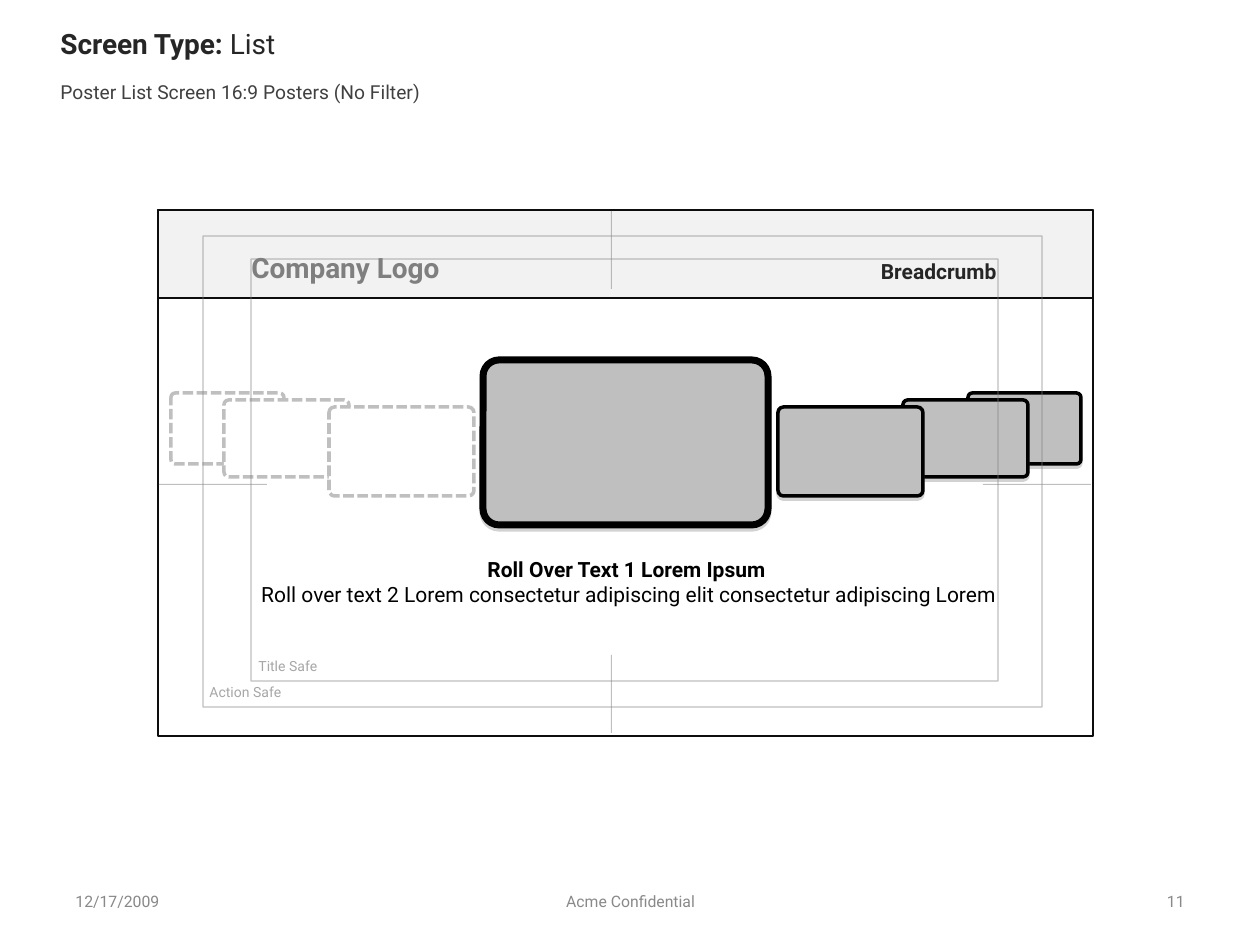
from lxml.etree import SubElement
from pptx import Presentation
from pptx.dml.color import RGBColor
from pptx.enum.dml import MSO_LINE
from pptx.enum.shapes import MSO_SHAPE as Shape
from pptx.enum.text import MSO_ANCHOR as Anchor, PP_ALIGN as Align
from pptx.oxml.ns import qn
from pptx.util import Pt

PX = 914400 / 126
FONT = "Roboto"
BLACK = RGBColor(0x00, 0x00, 0x00)
INK = RGBColor(0x0D, 0x0D, 0x0D)
DARK = RGBColor(0x26, 0x26, 0x26)
SUBTITLE = RGBColor(0x40, 0x40, 0x40)
LOGO = RGBColor(0x7F, 0x7F, 0x7F)
GUIDE = RGBColor(0x80, 0x80, 0x80)
FOOTER = RGBColor(0x89, 0x89, 0x89)
LABEL = RGBColor(0xA6, 0xA6, 0xA6)
POSTER = RGBColor(0xBF, 0xBF, 0xBF)
HEADER = RGBColor(0xF2, 0xF2, 0xF2)
WHITE = RGBColor(0xFF, 0xFF, 0xFF)

FRAME = (158, 210, 935, 526)
MIRROR_SUM = 1252
SIDE_POSTERS = [(171, 393, 113, 71), (224, 400, 125, 77), (329, 407, 145, 89)]
SAFE_AREAS = [(203, 236, 839, 471), (251, 259, 747, 422)]
CENTER_TICKS = [(159, 484, 108, 1), (983, 484, 108, 1),
                (611, 211, 1, 78), (611, 655, 1, 78)]


def emu(*lengths):
    """Turn px lengths into EMU."""
    return [round(length * PX) for length in lengths]


def set_alpha(fill, percent):
    """Make a solid fill partly transparent."""
    color = fill._xPr.find(qn("a:solidFill"))[0]
    SubElement(color, qn("a:alpha"), val=str(percent * 1000))


def add_drop_shadow(shape):
    """Give a shape a hard grey shadow just below it."""
    effects = shape._element.spPr.find(qn("a:effectLst"))
    shadow = SubElement(effects, qn("a:outerShdw"), blurRad="0",
                        dist=str(Pt(1.8)), dir="5400000", rotWithShape="0")
    color = SubElement(shadow, qn("a:srgbClr"), val=str(GUIDE))
    SubElement(color, qn("a:alpha"), val="35000")


def add_box(shapes, place, fill=None, line=None, width=1, kind=Shape.RECTANGLE):
    """Add a preset shape with an optional fill and outline."""
    box = shapes.add_shape(kind, *emu(*place))
    box.shadow.inherit = False
    if fill is None:
        box.fill.background()
    else:
        box.fill.solid()
        box.fill.fore_color.rgb = fill
    if line is None:
        box.line.fill.background()
    else:
        box.line.color.rgb = line
        box.line.width = Pt(width)
    return box


def add_poster(shapes, place, radius=0.062, width=2, dashed=False):
    """Add a rounded poster, either solid or as a dashed ghost."""
    fill, line = (WHITE, POSTER) if dashed else (POSTER, BLACK)
    poster = add_box(shapes, place, fill, line, width, Shape.ROUNDED_RECTANGLE)
    poster.adjustments[0] = radius
    if dashed:
        poster.line.dash_style = MSO_LINE.SQUARE_DOT
    else:
        add_drop_shadow(poster)


def add_text(shapes, place, spans, size, color, align=Align.LEFT,
             anchor=Anchor.MIDDLE, wrap=True):
    """Add one line of text made of (text, bold) spans."""
    box = shapes.add_textbox(*emu(*place))
    frame = box.text_frame
    frame.word_wrap = wrap
    frame.vertical_anchor = anchor
    para = frame.paragraphs[0]
    para.alignment = align
    for text, bold in spans:
        span = para.add_run()
        span.text = text
        span.font.name = FONT
        span.font.size = Pt(size)
        span.font.bold = bold
        span.font.color.rgb = color


def add_title(shapes):
    """Add the slide title and subtitle."""
    add_text(shapes, (48, 27, 1134, 33),
             [("Screen Type: ", True), ("List", False)], 16, DARK)
    add_text(shapes, (48, 74, 388, 36),
             [("Poster List Screen 16:9 Posters (No Filter)", False)],
             11, SUBTITLE, anchor=Anchor.TOP, wrap=False)


def add_header(shapes):
    """Add the header band of the mock screen."""
    add_box(shapes, (158, 210, 935, 88), HEADER, INK)
    add_text(shapes, (239, 244, 217, 47), [("Company Logo", True)],
             16, LOGO, anchor=Anchor.TOP, wrap=False)
    add_text(shapes, (863, 252, 146, 38), [("Breadcrumb", True)],
             12, DARK, Align.RIGHT, Anchor.TOP, False)


def add_posters(shapes):
    """Add the focused poster and the mirrored rows beside it."""
    add_poster(shapes, (483, 360, 285, 165), 0.098, 4)
    for left, top, width, height in SIDE_POSTERS:
        right = MIRROR_SUM - left - width
        add_poster(shapes, (right, top, width, height))
        add_poster(shapes, (left, top, width, height), dashed=True)


def add_captions(shapes):
    """Add the roll over texts below the focused poster."""
    add_text(shapes, (467, 550, 319, 38), [("Roll Over Text 1 Lorem Ipsum", True)],
             12, BLACK, Align.CENTER, Anchor.TOP, False)
    detail = ("Roll over text 2 Lorem consectetur adipiscing elit "
              "consectetur adipiscing Lorem")
    add_text(shapes, (241, 575, 776, 38), [(detail, False)],
             12, BLACK, Align.CENTER, Anchor.TOP)


def add_guides(shapes):
    """Add the screen frame, safe areas and centre ticks as a group."""
    guides = shapes.add_group_shape().shapes
    add_box(guides, FRAME, line=INK)
    for place in SAFE_AREAS:
        area = add_box(guides, place, line=GUIDE, width=0.75)
        set_alpha(area.line.fill, 50)
    for place in CENTER_TICKS:
        tick = add_box(guides, place, GUIDE)
        set_alpha(tick.fill, 50)
    for left, top, name in [(197, 675, "Action Safe"), (246, 649, "Title Safe")]:
        add_text(guides, (left, top, 135, 34), [(name, False)], 8, LABEL)


def add_footer(shapes):
    """Add the date, notice and page number."""
    for left, width, text, align in [
        (63, 294, "12/17/2009", Align.LEFT),
        (431, 399, "Acme Confidential", Align.CENTER),
        (903, 294, "11", Align.RIGHT),
    ]:
        add_text(shapes, (left, 876, width, 50), [(text, False)], 9, FOOTER, align)


def main():
    """Build the slide and save it."""
    deck = Presentation()
    deck.slide_width, deck.slide_height = emu(1260, 945)
    page = deck.slides.add_slide(deck.slide_layouts[6])
    for add_part in (add_footer, add_posters, add_header, add_title,
                     add_captions, add_guides):
        add_part(page.shapes)
    deck.save("out.pptx")


if __name__ == "__main__":
    main()
